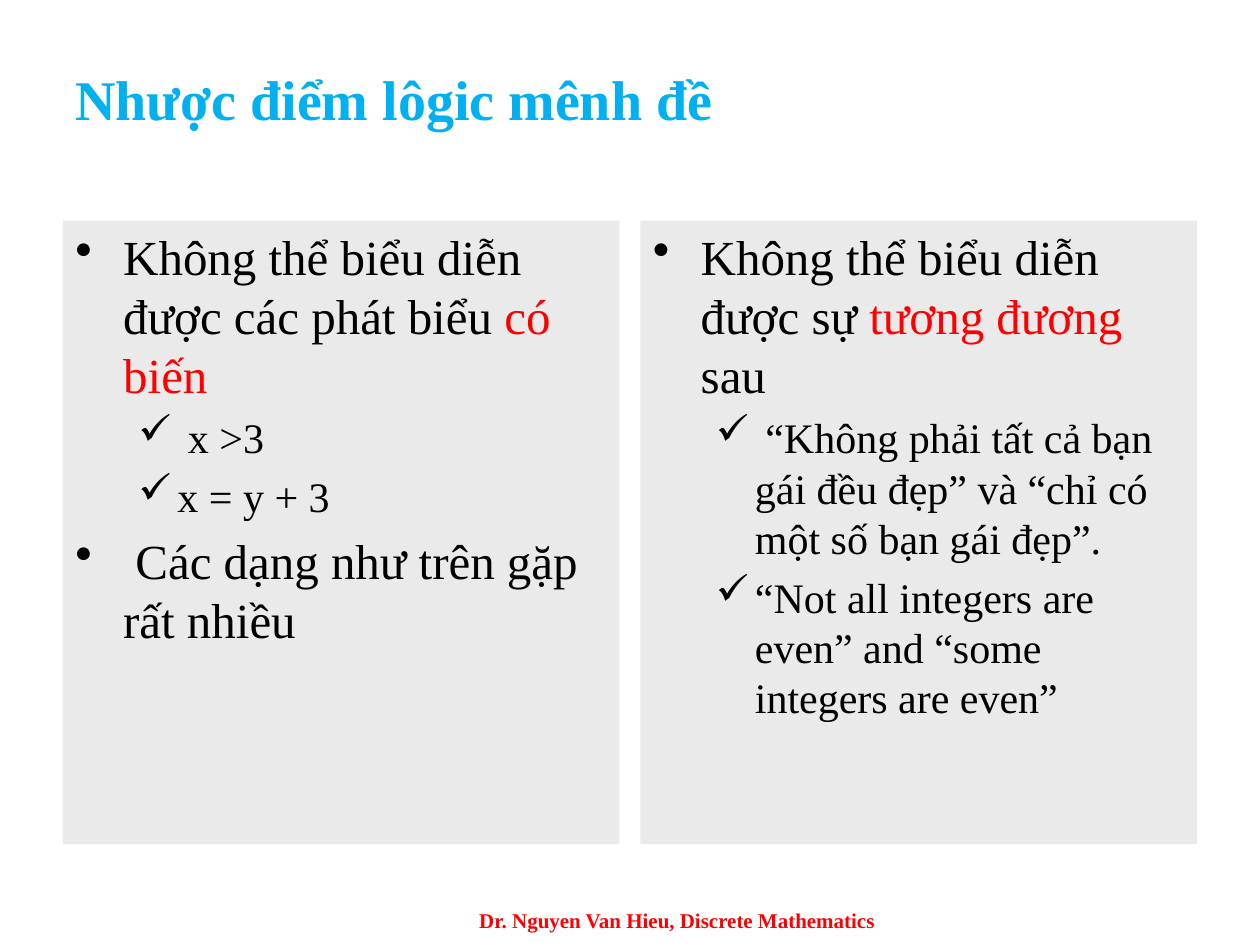
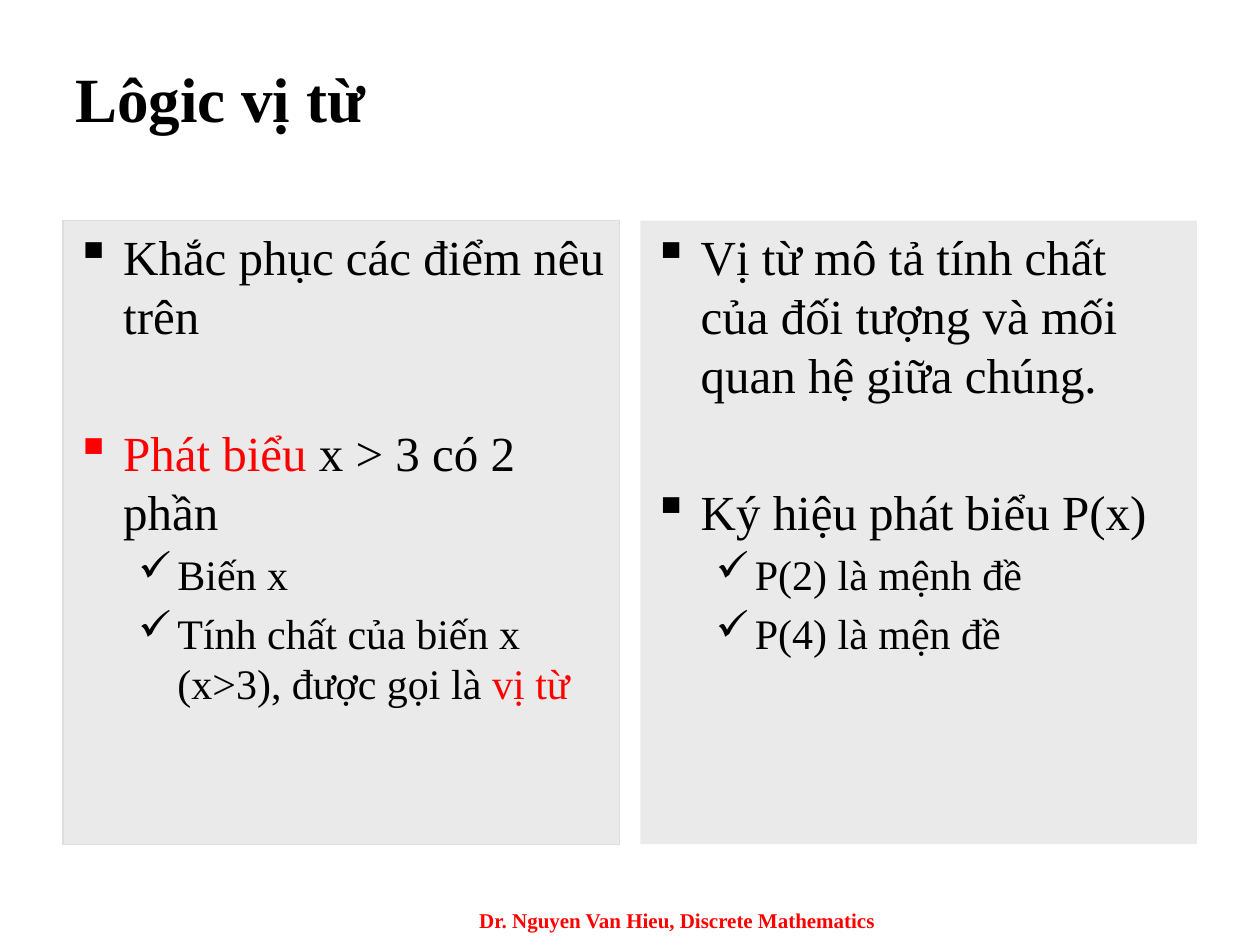
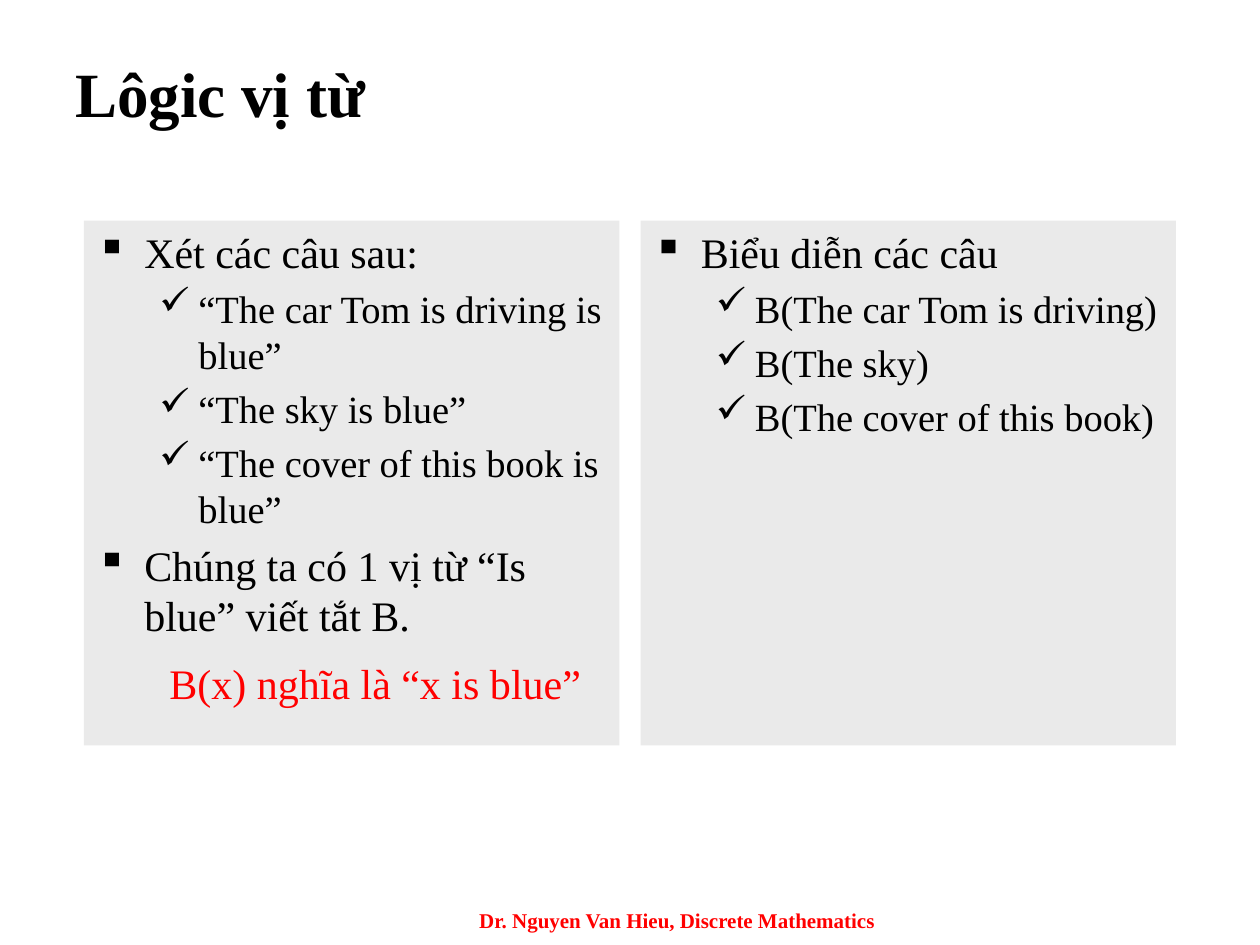
from dataclasses import dataclass

from lxml import etree
from pptx import Presentation
from pptx.dml.color import RGBColor
from pptx.enum import shapes, text
from pptx.oxml import ns
from pptx.util import Inches, Pt


@dataclass(frozen=True)
class Theme:
    """Colours, type sizes and indents of the deck."""
    font: str = "Times New Roman"
    ink: str = "000000"
    hot: str = "FF0000"
    sky: str = "00B0F0"
    panel: str = "EAEAEA"
    edge: str = "DDDDDD"
    head: int = 36
    body: tuple = (28, 24)
    small: tuple = (24, 22)
    foot: int = 12
    hang: tuple = ((0.38, 0.38), (0.81, 0.31))
    lead: float = 0.2
    skip: float = 1.6


DOT, BOX, TICK = "•", "▪", "✓"
COLS, ROWS = 120, 90
TOP, EDGE, GAP = 21, 6, 2
FOOTER = "Dr. Nguyen Van Hieu, Discrete Mathematics"


@dataclass
class Item:
    """One paragraph: runs are plain strings or (string, colour name) pairs."""
    runs: list
    mark: str = BOX
    level: int = 0
    skip: bool = False
    indent: float = 0
    before: float = 0


def tick(*runs):
    """Return a second-level item."""
    return Item(list(runs), TICK, 1)


class Deck:
    """Hold the style and the current slide, and draw on its grid."""

    def __init__(self, theme):
        """Open an empty deck."""
        self.theme = theme
        self.prs = Presentation()
        self.prs.slide_width, self.prs.slide_height = Inches(10), Inches(7.5)
        self.slide = None

    def place(self, col, row, wide, high):
        """Turn grid cells into lengths."""
        x, y = self.prs.slide_width / COLS, self.prs.slide_height / ROWS
        return [round(n) for n in (col * x, row * y, wide * x, high * y)]

    def run(self, para, words, size, tint="ink", bold=False):
        """Add one styled run."""
        run = para.add_run()
        run.text = words
        font = run.font
        font.name, font.size, font.bold = self.theme.font, Pt(size), bold
        font.color.rgb = RGBColor.from_string(getattr(self.theme, tint))

    def label(self, area, words, size, tint, align):
        """Add a bold line of text centred in height."""
        frame = self.slide.shapes.add_textbox(*self.place(*area)).text_frame
        frame.word_wrap = True
        frame.vertical_anchor = text.MSO_ANCHOR.MIDDLE
        para = frame.paragraphs[0]
        para.alignment = align
        self.run(para, words, size, tint, True)

    def page(self, title, size=None, tint="ink", high=11.4):
        """Start a slide with its title and footer."""
        self.slide = self.prs.slides.add_slide(self.prs.slide_layouts[6])
        self.label((EDGE, 3.6, COLS - 2 * EDGE, high), title,
                   size or self.theme.head, tint, text.PP_ALIGN.LEFT)
        self.label((40, 85.2, 49, 4.8), FOOTER, self.theme.foot, "hot",
                   text.PP_ALIGN.CENTER)

    def indent(self, para, item):
        """Set the indent and bullet of a paragraph."""
        props = para._p.get_or_add_pPr()
        left, hang = self.theme.hang[item.level] if item.mark else (item.indent, 0)
        props.set("marL", str(Inches(left)))
        props.set("indent", str(-Inches(hang)))
        if item.mark:
            etree.SubElement(props, ns.qn("a:buChar")).set("char", item.mark)
        else:
            etree.SubElement(props, ns.qn("a:buNone"))

    def panel(self, area, items, sizes, edge=False):
        """Add a grey panel with a bulleted list."""
        shape = self.slide.shapes.add_shape(
            shapes.MSO_SHAPE.RECTANGLE, *self.place(*area))
        shape.shadow.inherit = False
        shape.fill.solid()
        shape.fill.fore_color.rgb = RGBColor.from_string(self.theme.panel)
        if edge:
            shape.line.color.rgb = RGBColor.from_string(self.theme.edge)
            shape.line.width = Pt(0.75)
        else:
            shape.line.fill.background()
        frame = shape.text_frame
        frame.word_wrap = True
        frame.vertical_anchor = text.MSO_ANCHOR.TOP
        for spot, item in enumerate(items):
            para = frame.add_paragraph() if spot else frame.paragraphs[0]
            size = sizes[item.level]
            para.alignment = text.PP_ALIGN.LEFT
            para.level = item.level
            if spot:
                share = self.theme.skip if item.skip else self.theme.lead
                para.space_before = Pt(item.before or share * size)
            self.indent(para, item)
            for part in item.runs:
                words, tint = (part, "ink") if isinstance(part, str) else part
                self.run(para, words, size, tint)

    def pair(self, left, right, sizes, side=EDGE, high=59.4, edge=False):
        """Add two equal panels side by side."""
        wide = (COLS - 2 * side - GAP) / 2
        self.panel((side, TOP, wide, high), left, sizes, edge)
        self.panel((side + wide + GAP, TOP, wide, high), right, sizes)


def main():
    """Build the three slides."""
    theme = Theme()
    deck = Deck(theme)

    deck.page("Nhược điểm lôgic mênh đề", 32, "sky")
    deck.pair(
        [Item(["Không thể biểu diễn được các phát biểu ", ("có biến", "hot")], DOT),
         tick(" x >3"),
         tick("x = y + 3"),
         Item([" Các dạng như trên gặp rất nhiều"], DOT)],
        [Item(["Không thể biểu diễn được sự ", ("tương đương ", "hot"), "sau"], DOT),
         tick(" “Không phải tất cả bạn gái đều đẹp” và “chỉ có một số bạn gái đẹp”."),
         tick("“Not all integers are even” and “some integers are even”")],
        theme.body)

    deck.page("Lôgic vị từ")
    deck.pair(
        [Item(["Khắc phục các điểm nêu trên"]),
         Item([("Phát biểu", "hot"), " x > 3 có 2 phần"], skip=True),
         tick("Biến x"),
         tick("Tính chất của biến x (x>3), được gọi là ", ("vị từ", "hot"))],
        [Item(["Vị từ mô tả tính chất của đối tượng và mối quan hệ giữa chúng."]),
         Item(["Ký hiệu phát biểu P(x)"], skip=True),
         tick("P(2) là mệnh đề"),
         tick("P(4) là mện đề")],
        theme.body, edge=True)

    deck.page("Lôgic vị từ", high=10.4)
    deck.pair(
        [Item(["Xét các câu sau:"]),
         tick("“The car Tom is driving is blue”"),
         tick("“The sky is blue”"),
         tick("“The cover of this book is blue”"),
         Item(["Chúng ta có 1 vị từ “Is blue” viết tắt B."]),
         Item([("B(x) nghĩa là “x is blue”", "hot")], "", indent=0.58, before=10)],
        [Item(["Biểu diễn các câu"]),
         tick("B(The car Tom is driving)"),
         tick("B(The sky)"),
         tick("B(The cover of this book)")],
        theme.small, side=8, high=50)

    deck.prs.save("out.pptx")


if __name__ == "__main__":
    main()
